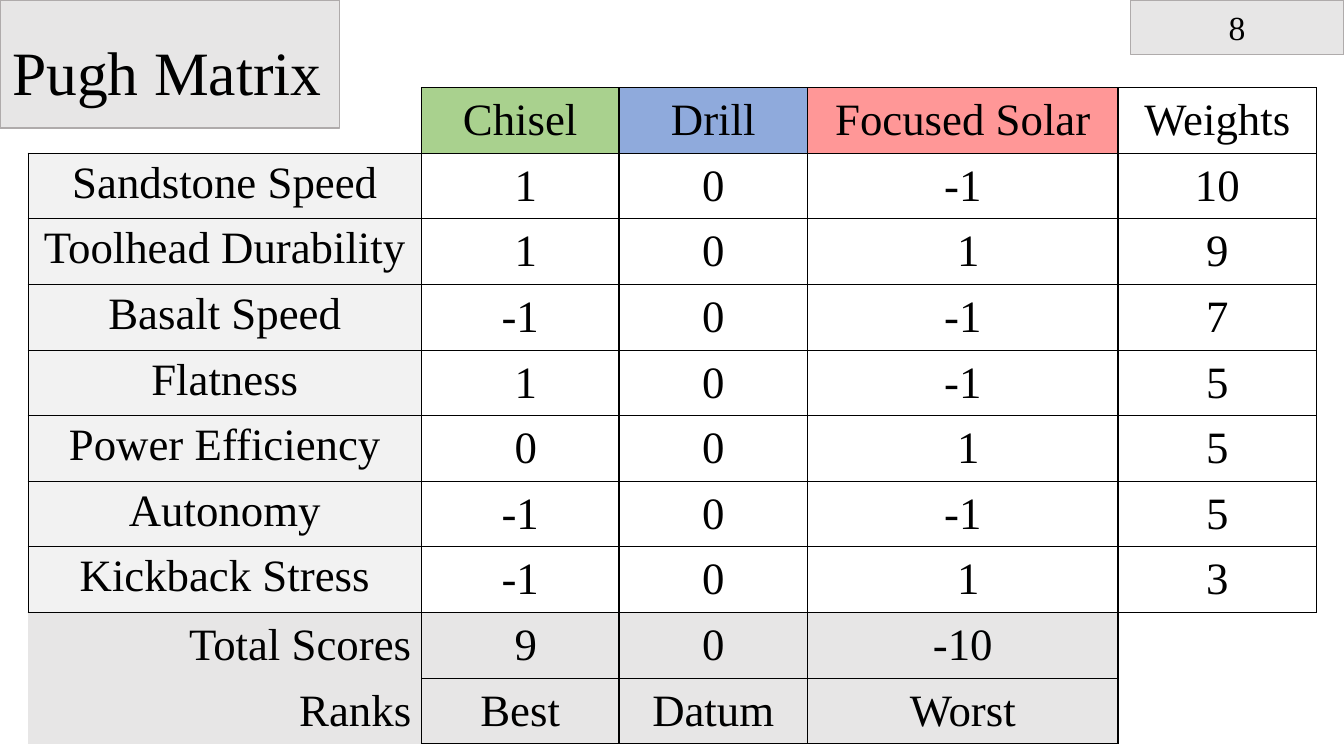
from lxml import etree
from pptx import Presentation
from pptx.dml.color import RGBColor
from pptx.enum.shapes import MSO_SHAPE
from pptx.enum.text import MSO_ANCHOR, PP_ALIGN
from pptx.oxml.ns import qn
from pptx.util import Inches, Pt

RECTANGLE = MSO_SHAPE.RECTANGLE
TOP, MIDDLE = MSO_ANCHOR.TOP, MSO_ANCHOR.MIDDLE
LEFT, CENTER, RIGHT = PP_ALIGN.LEFT, PP_ALIGN.CENTER, PP_ALIGN.RIGHT
TITLE_ONLY = 5

FONT = "Times New Roman"
BLACK, GRAY, LABEL_GRAY, OUTLINE = "000000", "E7E6E6", "F2F2F2", "AFABAB"
HEADER_FILLS = [None, "A9D18E", "8FAADC", "FF9797", None]
COLUMN_WIDTHS = [3.9, 1.96, 1.87, 3.08, 1.97]
TABLE_HEIGHT = 6.51
MATRIX = [
    ["", "Chisel", "Drill", "Focused Solar", "Weights"],
    ["Sandstone Speed", " 1", "0", "-1", "10"],
    ["Toolhead Durability", " 1", "0", " 1", "9"],
    ["Basalt Speed", "-1", "0", "-1", "7"],
    ["Flatness", " 1", "0", "-1", "5"],
    ["Power Efficiency", " 0", "0", " 1", "5"],
    ["Autonomy", "-1", "0", "-1", "5"],
    ["Kickback Stress", "-1", "0", " 1", "3"],
    ["Total Scores", " 9", "0", "-10", ""],
    ["Ranks", "Best", "Datum", "Worst", ""],
]
SUMMARY_ROW = 8
PARTIAL_BORDERS = {(0, 0): "RB", (8, 0): "RT", (9, 0): "R", (8, 4): "LT", (9, 4): "L"}


def color(value):
    return RGBColor.from_string(value)


def write(text_frame, text, size, alignment):
    text_frame.text = text
    paragraph = text_frame.paragraphs[0]
    paragraph.alignment = alignment
    for run in paragraph.runs:
        run.font.name = FONT
        run.font.size = Pt(size)
        run.font.color.rgb = color(BLACK)
    return paragraph


def place(shape, left, top, width, height):
    shape.left, shape.top = Inches(left), Inches(top)
    shape.width, shape.height = Inches(width), Inches(height)


def add_panel(slide, left, top, width, height):
    panel = slide.shapes.add_shape(
        RECTANGLE, Inches(left), Inches(top), Inches(width), Inches(height))
    panel.shadow.inherit = False
    panel.fill.solid()
    panel.fill.fore_color.rgb = color(GRAY)
    panel.line.color.rgb = color(OUTLINE)
    panel.line.width = Pt(1)


def set_borders(cell, sides):
    properties = cell._tc.get_or_add_tcPr()
    for side in "LRTB":
        line = etree.SubElement(properties, qn(f"a:ln{side}"), w=str(Pt(1)))
        if side in sides:
            fill = etree.SubElement(line, qn("a:solidFill"))
            etree.SubElement(fill, qn("a:srgbClr"), val=BLACK)
        else:
            etree.SubElement(line, qn("a:noFill"))


def cell_fill(row, column):
    if row == 0:
        return HEADER_FILLS[column]
    if row >= SUMMARY_ROW:
        return GRAY if column < 4 else None
    return LABEL_GRAY if column == 0 else None


def format_cell(cell, row, column):
    is_label = column == 0
    is_summary = row >= SUMMARY_ROW
    write(cell.text_frame, MATRIX[row][column], 32,
          RIGHT if is_label and is_summary else CENTER)
    cell.vertical_anchor = TOP if is_label and not is_summary else MIDDLE
    set_borders(cell, PARTIAL_BORDERS.get((row, column), "LRTB"))
    fill = cell_fill(row, column)
    if fill:
        cell.fill.solid()
        cell.fill.fore_color.rgb = color(fill)
    else:
        cell.fill.background()


def add_matrix(slide):
    table = slide.shapes.add_table(
        len(MATRIX), len(COLUMN_WIDTHS), Inches(0.28), Inches(0.87),
        Inches(sum(COLUMN_WIDTHS)), Inches(TABLE_HEIGHT)).table
    table.first_row = False
    table.horz_banding = False
    for column, width in zip(table.columns, COLUMN_WIDTHS):
        column.width = Inches(width)
    for row_index, row in enumerate(table.rows):
        row.height = Inches(TABLE_HEIGHT / len(MATRIX))
        for column_index, cell in enumerate(row.cells):
            format_cell(cell, row_index, column_index)


def add_title(slide):
    title = slide.shapes.title
    place(title, 0.02, 0.02, 6.74, 1.45)
    title.text_frame.vertical_anchor = MIDDLE
    paragraph = write(title.text_frame, "Pugh Matrix", 44, LEFT)
    paragraph.line_spacing = 0.9
    slide.shapes._spTree.append(title._element)


def add_page_number(slide):
    box = slide.shapes.add_textbox(
        Inches(11.99), Inches(0.07), Inches(0.56), Inches(0.4))
    box.text_frame.word_wrap = True
    box.text_frame.vertical_anchor = MIDDLE
    write(box.text_frame, "8", 24, CENTER)


def main():
    presentation = Presentation()
    presentation.slide_width = Inches(13.33)
    presentation.slide_height = Inches(7.5)
    slide = presentation.slides.add_slide(presentation.slide_layouts[TITLE_ONLY])
    add_matrix(slide)
    add_panel(slide, 0, 0, 3.37, 1.27)
    add_title(slide)
    add_panel(slide, 11.21, 0, 2.12, 0.54)
    add_page_number(slide)
    presentation.save("out.pptx")


if __name__ == "__main__":
    main()
